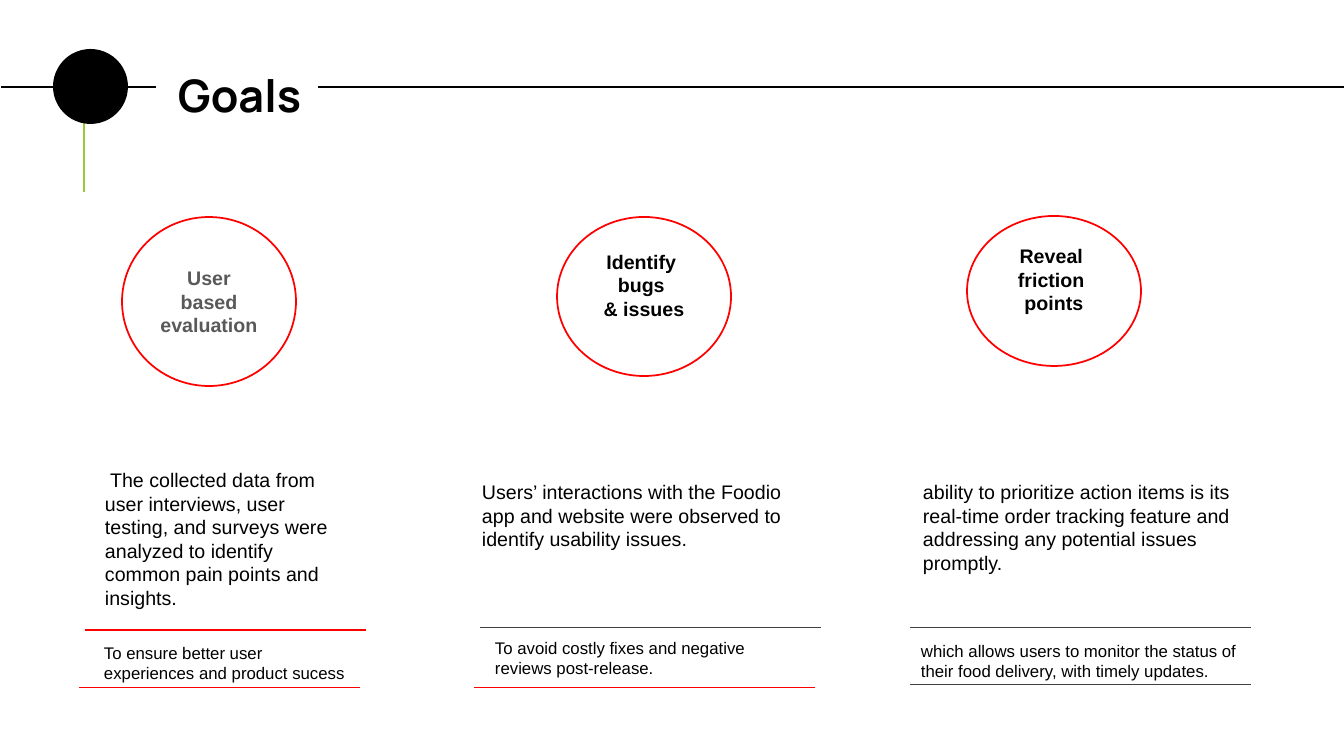
from dataclasses import dataclass

import pptx
import pptx.dml.color
import pptx.enum.shapes
import pptx.enum.text
import pptx.oxml.ns
import pptx.util
from lxml import etree

SHAPE = pptx.enum.shapes.MSO_SHAPE
ALIGN = pptx.enum.text.PP_ALIGN
ANCHOR = pptx.enum.text.MSO_ANCHOR
PX_PER_INCH = 100.8


@dataclass(frozen=True)
class Theme:
    ink: str = "000000"
    paper: str = "FFFFFF"
    muted: str = "595959"
    accent: str = "FF0000"
    dark_rule: str = "404040"
    stem: str = "99CB38"
    title_font: str = "Manrope"
    text_font: str = "Arial"
    title_size: int = 32
    body_size: int = 14
    caption_size: int = 12


THEME = Theme()


@dataclass(frozen=True)
class Goal:
    """One column; part boxes are (left, top, width, height) from its corner."""
    box: tuple
    heading: tuple
    heading_color: str
    heading_drop: int
    circle: tuple
    body: str
    body_box: tuple
    caption: str
    caption_box: tuple
    rules: tuple


GOALS = (
    Goal((79, 216, 281, 472), ("User based evaluation",), THEME.muted, 5,
         (43, 1, 174, 169),
         " The collected data from user interviews, user testing, and surveys "
         "were analyzed to identify common pain points and insights.",
         (13, 239, 272, 152),
         "To ensure better user experiences and product sucess",
         (12, 414, 269, 60),
         ((6, 414, THEME.accent), (0, 472, THEME.accent))),
    Goal((474, 216, 341, 472), ("Identify ", "bugs ", "& issues"), THEME.ink, 28,
         (83, 1, 174, 159),
         "Users’ interactions with the Foodio app and website were observed "
         "to identify usability issues.",
         (-5, 251, 342, 143),
         "To avoid costly fixes and negative reviews post-release.",
         (8, 409, 315, 60),
         ((6, 412, THEME.dark_rule), (0, 472, THEME.accent))),
    Goal((910, 216, 341, 472), ("Reveal ", "friction ", "points"), THEME.ink, 28,
         (57, 0, 174, 150),
         "ability to prioritize action items is its real-time order "
         "tracking feature and addressing any potential issues promptly.",
         (0, 251, 352, 112),
         "which allows users to monitor the status of their food delivery, "
         "with timely updates.",
         (-2, 412, 352, 90),
         ((0, 412, THEME.dark_rule), (0, 469, THEME.dark_rule))),
)


def px(length):
    return pptx.util.Emu(round(length * 914400 / PX_PER_INCH))


def rgb(color):
    return pptx.dml.color.RGBColor.from_string(color)


def place(box, part):
    """Turn a part's box, relative to its region, into slide EMU."""
    left, top, width, height = part
    return px(box[0] + left), px(box[1] + top), px(width), px(height)


def set_insets(frame, left, top, right, bottom):
    frame.margin_left, frame.margin_top = px(left), px(top)
    frame.margin_right, frame.margin_bottom = px(right), px(bottom)


def style(paragraph, size, color, font=THEME.text_font, bold=False, align=ALIGN.LEFT):
    paragraph.alignment = align
    paragraph.font.name = font
    paragraph.font.size = pptx.util.Pt(size)
    paragraph.font.bold = bold
    paragraph.font.color.rgb = rgb(color)


def add_line(slide, start, end, color, weight):
    line = slide.shapes.add_connector(
        pptx.enum.shapes.MSO_CONNECTOR.STRAIGHT, *map(px, start + end))
    line.line.color.rgb = rgb(color)
    line.line.width = pptx.util.Pt(weight)
    etree.SubElement(line._element.spPr, pptx.oxml.ns.qn("a:effectLst"))


def add_disc(slide, position, fill, outline=None):
    disc = slide.shapes.add_shape(SHAPE.FLOWCHART_CONNECTOR, *position)
    disc.shadow.inherit = False
    disc.fill.solid()
    disc.fill.fore_color.rgb = rgb(fill)
    if outline:
        disc.line.color.rgb = rgb(outline)
        disc.line.width = pptx.util.Pt(1.25)
    else:
        disc.line.fill.background()
    return disc


def add_text(slide, position, text, size):
    frame = slide.shapes.add_textbox(*position).text_frame
    frame.word_wrap = True
    set_insets(frame, 13, 13, 13, 13)
    frame.text = text
    style(frame.paragraphs[0], size, THEME.ink)


def add_header(slide, box):
    left, top, width, _ = box
    add_line(slide, (left + 84, top + 192), (left + 84, top + 91), THEME.stem, 1.5)
    add_line(slide, (left + 1, top + 87), (left + width, top + 87), THEME.ink, 1.5)
    add_disc(slide, place(box, (53, 49, 75, 75)), THEME.ink)

    title = slide.shapes.title
    slide.shapes._spTree.append(title._element)  # in front of the header line
    title.left, title.top, title.width, title.height = place(box, (156, 47, 162, 79))
    title.fill.solid()
    title.fill.fore_color.rgb = rgb(THEME.paper)
    frame = title.text_frame
    frame.text = "Goals"
    frame.auto_size = pptx.enum.text.MSO_AUTO_SIZE.NONE
    frame.word_wrap = True
    frame.vertical_anchor = ANCHOR.TOP
    set_insets(frame, 22, 13, 0, 13)
    frame.paragraphs[0].line_spacing = 1.15
    style(frame.paragraphs[0], THEME.title_size, THEME.ink, THEME.title_font, True)


def add_goal(slide, box, goal):
    left, top, width, _ = box
    add_text(slide, place(box, goal.body_box), goal.body, THEME.body_size)
    add_text(slide, place(box, goal.caption_box), goal.caption, THEME.caption_size)
    for dx, dy, color in goal.rules:
        add_line(slide, (left + dx, top + dy), (left + dx + width, top + dy), color, 0.75)

    circle = add_disc(slide, place(box, goal.circle), THEME.paper, THEME.accent)
    frame = circle.text_frame
    frame.word_wrap = True
    frame.vertical_anchor = ANCHOR.MIDDLE
    set_insets(frame, 10, 5, 10, goal.heading_drop)
    frame.text = "\n".join(goal.heading)
    for paragraph in frame.paragraphs:
        style(paragraph, THEME.body_size, goal.heading_color, bold=True, align=ALIGN.CENTER)


def main():
    deck = pptx.Presentation()
    deck.slide_width, deck.slide_height = px(1344), px(756)
    slide = deck.slides.add_slide(deck.slide_layouts.get_by_name("Title Only"))
    add_header(slide, (0, 0, 1344, 192))
    for goal in GOALS:
        add_goal(slide, goal.box, goal)
    deck.save("out.pptx")


if __name__ == "__main__":
    main()
